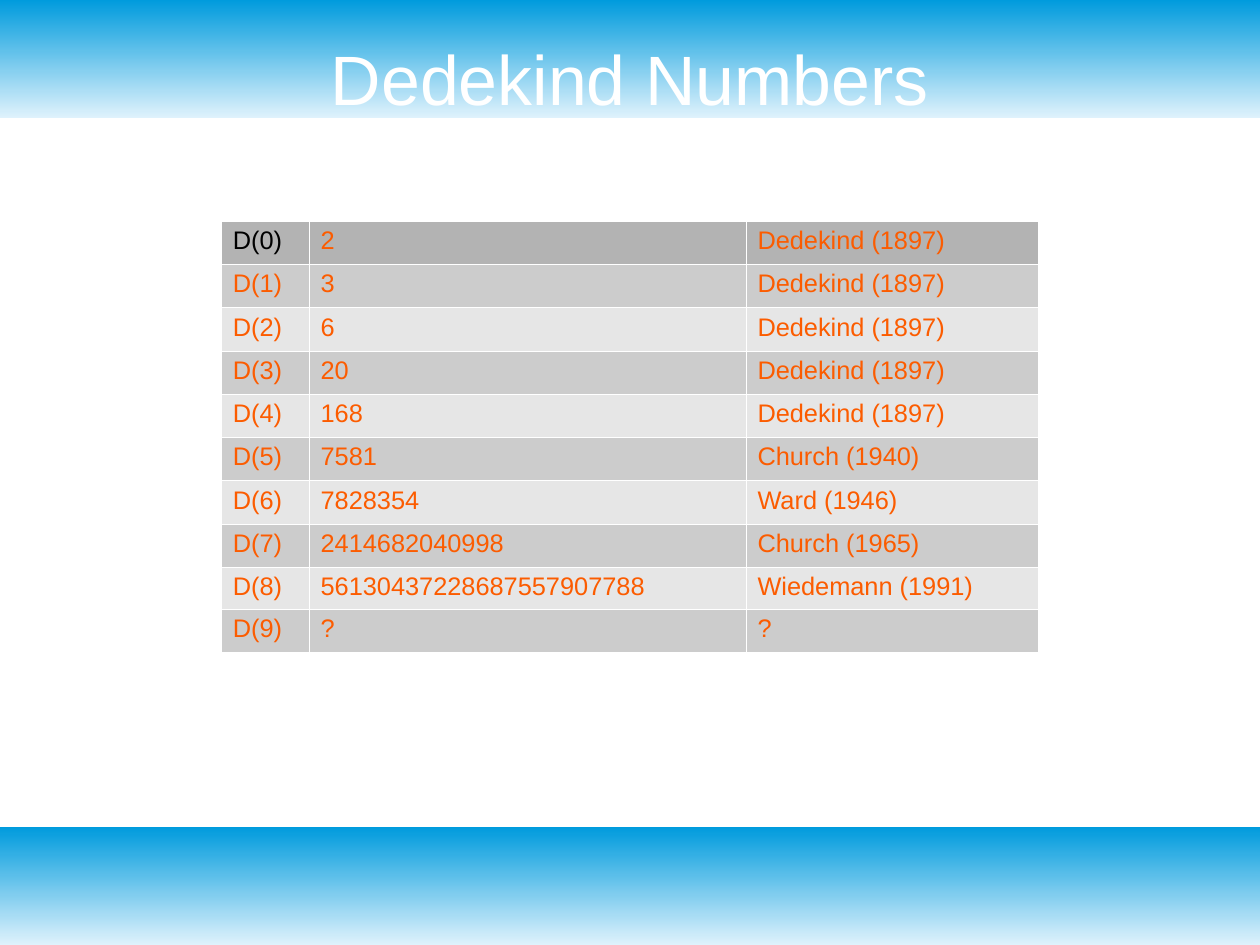
from dataclasses import dataclass

from lxml.etree import SubElement
from pptx import Presentation
from pptx.dml.color import RGBColor as RGB
from pptx.enum.shapes import MSO_SHAPE as Kind
from pptx.enum.text import MSO_ANCHOR as Anchor, MSO_AUTO_SIZE as Auto, PP_ALIGN as Align
from pptx.oxml import parse_xml
from pptx.oxml.ns import nsdecls, qn
from pptx.slide import Slide
from pptx.text.text import Font
from pptx.util import Pt


@dataclass(frozen=True)
class Theme:
    font: str = "Arial"
    title: float = 44
    body: float = 16
    white: str = "FFFFFF"
    black: str = "000000"
    accent: str = "FC5C00"
    pale: str = "DFF2FC"
    deep: str = "009BDD"
    head: str = "B3B3B3"
    bands: tuple[str, str] = ("E6E6E6", "CCCCCC")
    rule: float = 0.06


@dataclass(frozen=True)
class Band:
    top: float
    height: float = 74.25


@dataclass(frozen=True)
class Entry:
    value: str
    source: str
    height: float = 27.25


THEME = Theme()
WIDTH, HEIGHT = 793.7, 595.28
BANDS = [Band(0), Band(521.03)]
COLUMNS = [55.25, 275.25, 184.25]
ENTRIES = [
    Entry("2", "Dedekind (1897)"),
    Entry("3", "Dedekind (1897)"),
    Entry("6", "Dedekind (1897)"),
    Entry("20", "Dedekind (1897)"),
    Entry("168", "Dedekind (1897)"),
    Entry("7581", "Church (1940)"),
    Entry("7828354", "Ward (1946)"),
    Entry("2414682040998", "Church (1965)"),
    Entry("56130437228687557907788", "Wiedemann (1991)", 25.5),
    Entry("?", "?"),
]


def style(font: Font, size: float, color: str) -> None:
    font.name = THEME.font
    font.size = Pt(size)
    font.bold = False
    font.color.rgb = RGB.from_string(color)


def draw_band(slide: Slide, band: Band) -> None:
    shape = slide.shapes.add_shape(
        Kind.RECTANGLE, Pt(0), Pt(band.top), Pt(WIDTH), Pt(band.height)
    )
    shape.shadow.inherit = False
    shape.line.fill.background()
    shape.fill.gradient()
    shape.fill.gradient_angle = 90
    for stop, color in zip(shape.fill.gradient_stops, (THEME.pale, THEME.deep)):
        stop.color.rgb = RGB.from_string(color)
    slide.shapes.title.element.addprevious(shape.element)


def draw_title(slide: Slide, text: str) -> None:
    title = slide.shapes.title
    title.left, title.top, title.width, title.height = map(Pt, (39.7, 23.75, 714.3, 50.5))
    frame = title.text_frame
    frame.text = text
    frame.margin_left = frame.margin_right = frame.margin_top = frame.margin_bottom = 0
    frame.vertical_anchor = Anchor.MIDDLE
    frame.auto_size = Auto.SHAPE_TO_FIT_TEXT
    line = frame.paragraphs[0]
    line.alignment = Align.CENTER
    style(line.font, THEME.title, THEME.white)


def draw_table(slide: Slide, entries: list[Entry]) -> None:
    frame = slide.shapes.add_table(
        len(entries), len(COLUMNS), Pt(139.5), Pt(139.25),
        Pt(sum(COLUMNS)), Pt(sum(entry.height for entry in entries)),
    )
    table = frame.table
    table.first_row = table.horz_banding = False
    for column, width in zip(table.columns, COLUMNS):
        column.width = Pt(width)
    for row, entry in enumerate(entries):
        table.rows[row].height = Pt(entry.height)
        shade = THEME.bands[row % 2] if row else THEME.head
        for col, text in enumerate((f"D({row})", entry.value, entry.source)):
            cell = table.cell(row, col)
            cell.text = text
            cell.fill.solid()
            cell.fill.fore_color.rgb = RGB.from_string(shade)
            color = THEME.accent if row or col else THEME.black
            style(cell.text_frame.paragraphs[0].font, THEME.body, color)
    for props in frame.element.iter(qn("a:tcPr")):
        for spot, side in enumerate(("lnL", "lnR", "lnT", "lnB")):
            edge = parse_xml(f'<a:{side} {nsdecls("a")} w="{Pt(THEME.rule)}"/>')
            fill = SubElement(edge, qn("a:solidFill"))
            SubElement(fill, qn("a:srgbClr"), val=THEME.white)
            props.insert(spot, edge)


def main() -> None:
    """Build the Dedekind numbers slide."""
    deck = Presentation()
    deck.slide_width, deck.slide_height = Pt(WIDTH), Pt(HEIGHT)
    slide = deck.slides.add_slide(deck.slide_layouts[5])
    for band in BANDS:
        draw_band(slide, band)
    draw_title(slide, "Dedekind Numbers")
    draw_table(slide, ENTRIES)
    deck.save("out.pptx")


if __name__ == "__main__":
    main()
